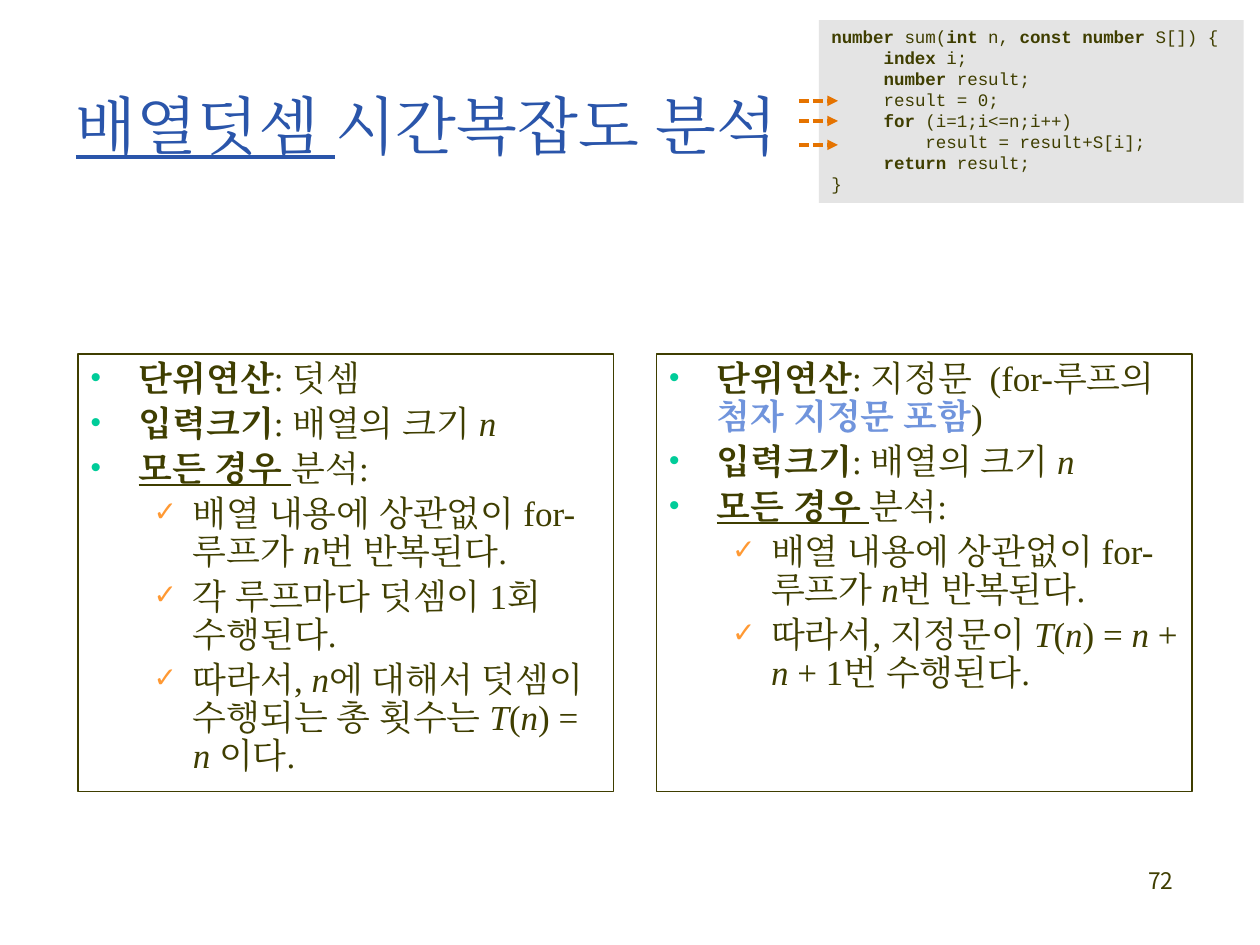
import pptx
import pptx.util
import pptx.dml.color
import pptx.enum.dml
import pptx.enum.shapes
import pptx.enum.text
import pptx.oxml
import pptx.oxml.ns
from lxml import etree

Inches, Pt = pptx.util.Inches, pptx.util.Pt

THEME = {
    "serif": "Times New Roman", "mono": "Courier New", "sans": "Noto Sans CJK KR",
    "title_size": 36, "body_size": 20, "code_size": 10, "page_size": 13,
    "ink": "3F3E00", "title": "2A55AA", "accent": "7094DC",
    "code_fill": "E4E4E4", "arrow": "E57300",
}
BULLETS = [
    {"char": "•", "color": "00CC99", "size": 85, "left": 0.38, "hang": 0.38},
    {"char": "✓", "color": "FF9933", "size": 80, "left": 0.81, "hang": 0.31},
]

# Style letters: b bold, i italic, u underline, a accent colour
TITLE = [("배열덧셈 ", "u"), ("시간복잡도 분석", "")]
INPUT_SIZE = (0, [("입력크기", "b"), (": 배열의 크기 ", ""), ("n", "i")])
EVERY_CASE = (0, [("모든 경우 ", "bu"), ("분석:", "")])
LOOP_COUNT = (1, [("배열 내용에 상관없이 for-루프가 ", ""), ("n", "i"), ("번 반복된다.", "")])
T_OF_N = [("T", "i"), ("(", ""), ("n", "i"), (") = ", "")]
ANALYSES = [
    [
        (0, [("단위연산", "b"), (": 덧셈", "")]),
        INPUT_SIZE, EVERY_CASE, LOOP_COUNT,
        (1, [("각 루프마다 덧셈이 1회 수행된다.", "")]),
        (1, [("따라서, ", ""), ("n", "i"), ("에 대해서 덧셈이 수행되는 총 횟수는 ", ""),
             *T_OF_N, ("n ", "i"), ("이다.", "")]),
    ],
    [
        (0, [("단위연산", "b"), (": 지정문  (for-루프의 ", ""),
             ("첨자 지정문 포함", "ba"), (")", "")]),
        INPUT_SIZE, EVERY_CASE, LOOP_COUNT,
        (1, [("따라서, 지정문이 ", ""), *T_OF_N, ("n", "i"), (" + ", ""),
             ("n", "i"), (" + 1번 수행된다.", "")]),
    ],
]
CODE = [
    [("number", "b"), (" sum(", ""), ("int", "b"), (" n, ", ""),
     ("const number", "b"), (" S[]) {", "")],
    [("     ", ""), ("index ", "b"), ("i;", "")],
    [("     ", ""), ("number", "b"), (" result;", "")],
    [("     result = 0;", "")],
    [("     ", ""), ("for", "b"), (" (i=1;i<=n;i++)", "")],
    [("         result = result+S[i];", "")],
    [("     ", ""), ("return", "b"), (" result;", "")],
    [("}", "")],
]
PAGE = [("72", "")]
ARROW_LEVELS = [0.8, 0.96, 1.15]


def rgb(name):
    return pptx.dml.color.RGBColor.from_string(THEME.get(name, name))


def place(shape, left, top, width, height):
    shape.left, shape.top = Inches(left), Inches(top)
    shape.width, shape.height = Inches(width), Inches(height)


def write(paragraph, pieces, face, size, color="ink"):
    for text, style in pieces:
        run = paragraph.add_run()
        run.text = text
        font = run.font
        font.name, font.size = THEME[face], Pt(THEME[size])
        font.bold, font.italic, font.underline = (mark in style for mark in "biu")
        font.color.rgb = rgb("accent" if "a" in style else color)
        east_asian = etree.SubElement(run._r.rPr, pptx.oxml.ns.qn("a:ea"))
        east_asian.set("typeface", THEME[face])


def paragraphs(frame, count):
    frame.text = "\n" * (count - 1)
    frame.word_wrap = True
    frame.auto_size = pptx.enum.text.MSO_AUTO_SIZE.NONE
    return frame.paragraphs


def add_bullet(paragraph, bullet):
    properties = paragraph._p.get_or_add_pPr()
    properties.set("marL", str(Inches(bullet["left"])))
    properties.set("indent", str(-Inches(bullet["hang"])))
    color = etree.SubElement(properties, pptx.oxml.ns.qn("a:buClr"))
    etree.SubElement(color, pptx.oxml.ns.qn("a:srgbClr")).set("val", bullet["color"])
    for tag, key, value in (("a:buSzPct", "val", str(bullet["size"] * 1000)),
                            ("a:buFont", "typeface", "Arial"),
                            ("a:buChar", "char", bullet["char"])):
        etree.SubElement(properties, pptx.oxml.ns.qn(tag)).set(key, value)


def fill_analysis(box, items):
    box.line.color.rgb = rgb("ink")
    box.line.width = Pt(0.75)
    lines = paragraphs(box.text_frame, len(items))
    for order, (paragraph, (level, pieces)) in enumerate(zip(lines, items)):
        paragraph.level = level
        paragraph.line_spacing = Pt(21.7)
        paragraph.space_before = Pt(4 if order else 0)
        add_bullet(paragraph, BULLETS[level])
        write(paragraph, pieces, "serif", "body_size")


def add_code(slide):
    box = slide.shapes.add_shape(pptx.enum.shapes.MSO_SHAPE.RECTANGLE,
                                 Inches(6.5), Inches(0.16), Inches(3.37), Inches(1.45))
    box.shadow.inherit = False
    box.fill.solid()
    box.fill.fore_color.rgb = rgb("code_fill")
    box.line.fill.background()
    box.text_frame.vertical_anchor = pptx.enum.text.MSO_ANCHOR.TOP
    for paragraph, pieces in zip(paragraphs(box.text_frame, len(CODE)), CODE):
        paragraph.alignment = pptx.enum.text.PP_ALIGN.LEFT
        paragraph.line_spacing = Pt(12)
        write(paragraph, pieces, "mono", "code_size")


def add_arrow(slide, level):
    arrow = slide.shapes.add_connector(pptx.enum.shapes.MSO_CONNECTOR.STRAIGHT,
                                       Inches(6.34), Inches(level), Inches(6.65), Inches(level))
    arrow.line.color.rgb = rgb("arrow")
    arrow.line.width = Pt(2)
    arrow.line.dash_style = pptx.enum.dml.MSO_LINE.SQUARE_DOT
    outline = arrow.line._get_or_add_ln()
    etree.SubElement(outline, pptx.oxml.ns.qn("a:tailEnd")).set("type", "triangle")
    etree.SubElement(arrow._element.spPr, pptx.oxml.ns.qn("a:effectLst"))


def main():
    deck = pptx.Presentation()
    deck.slide_width, deck.slide_height = Inches(10), Inches(7.5)
    slide = deck.slides.add_slide(deck.slide_layouts[3])

    heading, *boxes = slide.placeholders
    place(heading, -0.04, 0.54, 6.85, 0.9)
    heading.text_frame.vertical_anchor = pptx.enum.text.MSO_ANCHOR.MIDDLE
    heading_line = paragraphs(heading.text_frame, 1)[0]
    heading_line.alignment = pptx.enum.text.PP_ALIGN.CENTER
    write(heading_line, TITLE, "serif", "title_size", "title")

    width, gap = 4.25, 0.34
    for column, (box, items) in enumerate(zip(boxes, ANALYSES)):
        place(box, 0.62 + column * (width + gap), 2.81, width, 3.47)
        fill_analysis(box, items)

    page = slide.shapes.add_textbox(Inches(7.33), Inches(6.83), Inches(2.08), Inches(0.5))
    page_line = paragraphs(page.text_frame, 1)[0]
    page_line.alignment = pptx.enum.text.PP_ALIGN.RIGHT
    write(page_line, PAGE, "sans", "page_size")

    add_code(slide)
    for level in ARROW_LEVELS:
        add_arrow(slide, level)
    deck.save("out.pptx")


if __name__ == "__main__":
    main()
